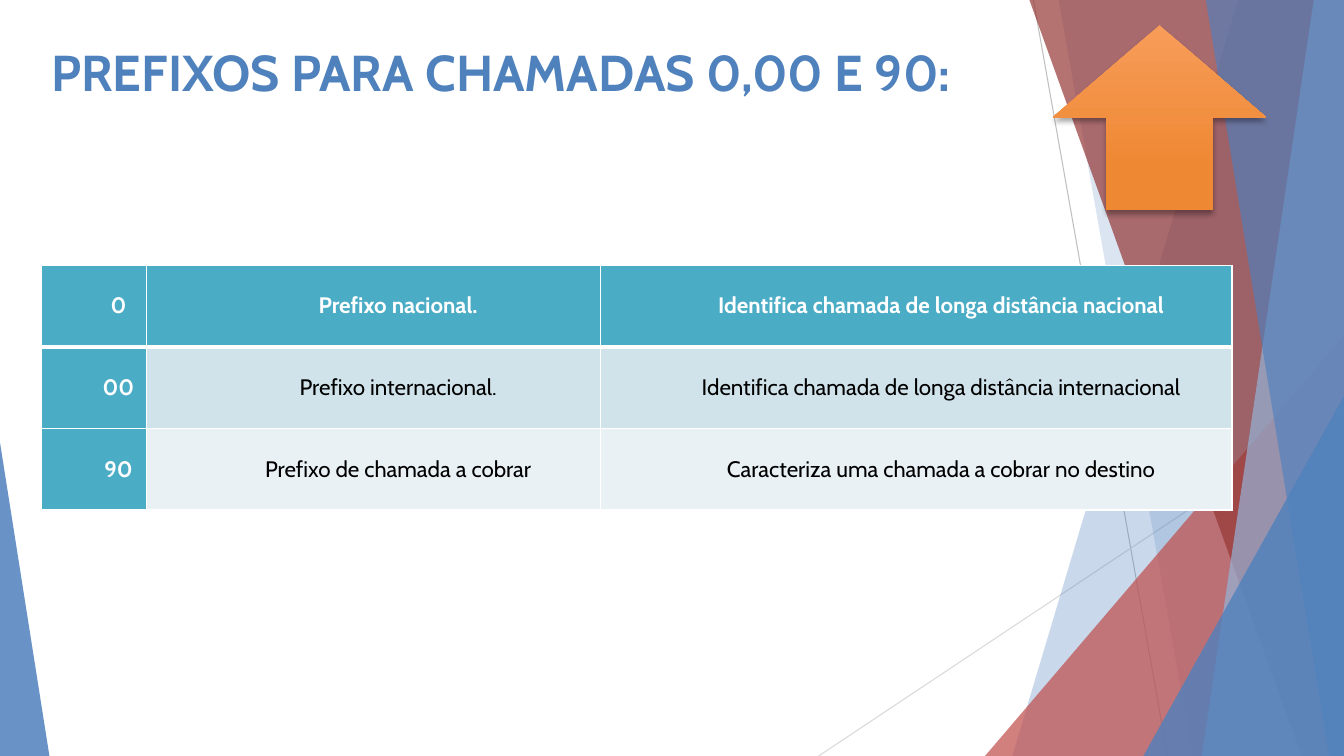
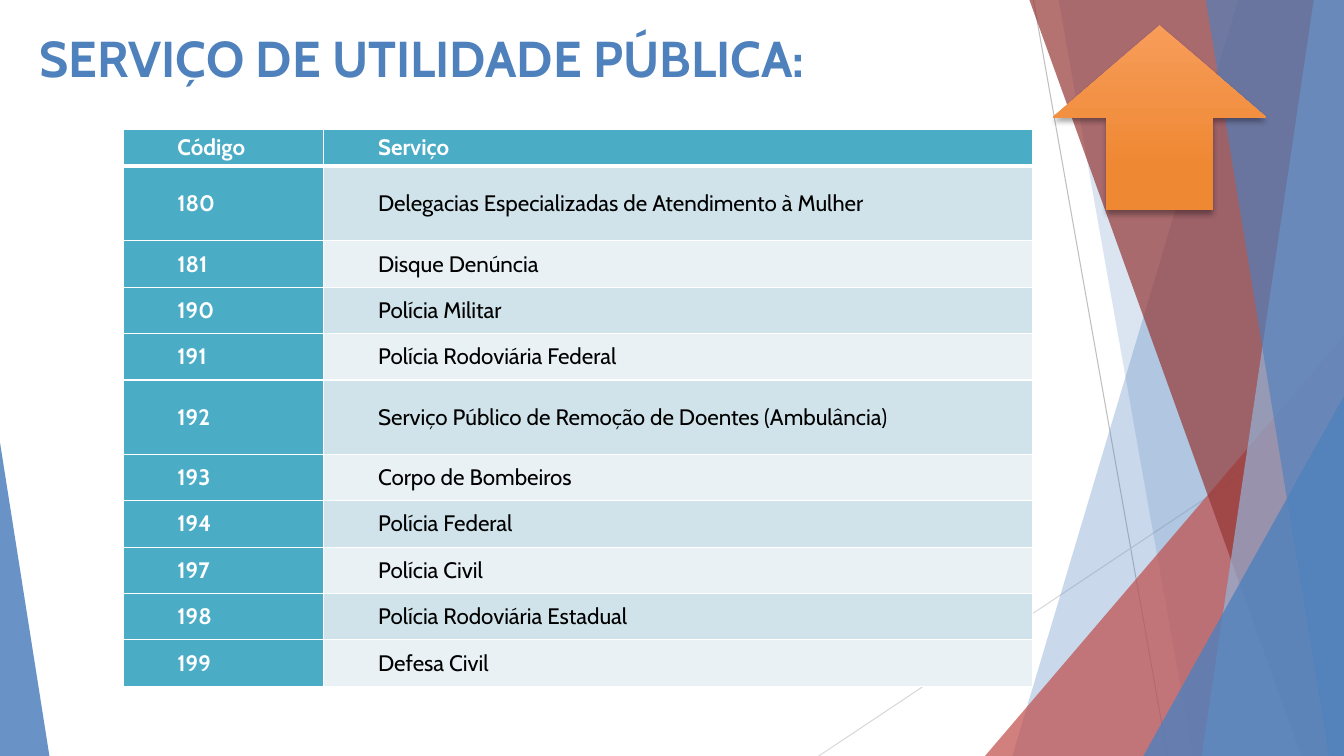
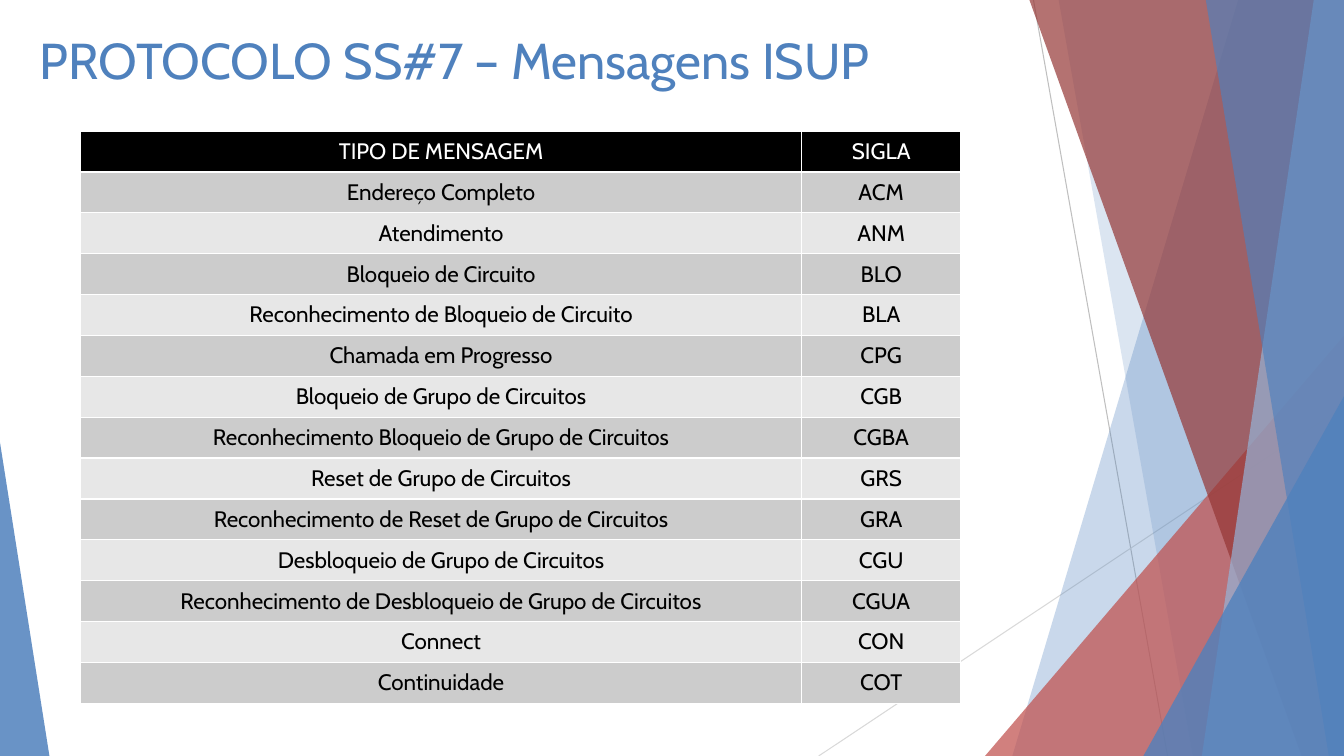
from pptx import Presentation
from pptx.dml.color import RGBColor
from pptx.enum import shapes, text
from pptx.oxml import parse_xml
from pptx.oxml.ns import nsdecls
from pptx.util import Inches, Pt

FONT = "Cabin"
WHITE = RGBColor(0xFF, 0xFF, 0xFF)
BLACK = RGBColor(0x00, 0x00, 0x00)
BLUE = RGBColor(0x4F, 0x81, 0xBD)
LIGHT_BLUE = RGBColor(0x95, 0xB3, 0xD7)
RED = RGBColor(0xC0, 0x50, 0x4D)
DARK_RED = RGBColor(0x95, 0x37, 0x35)
LINE_GRAY = RGBColor(0xBF, 0xBF, 0xBF)
PALE_GRAY = RGBColor(0xD9, 0xD9, 0xD9)
TEAL = RGBColor(0x4B, 0xAC, 0xC6)
TEAL_BANDS = (RGBColor(0xD0, 0xE3, 0xEA), RGBColor(0xE9, 0xF1, 0xF5))
GRAY_BANDS = (RGBColor(0xCC, 0xCC, 0xCC), RGBColor(0xE7, 0xE7, 0xE7))
LIGHT_ORANGE = RGBColor(0xF7, 0x9C, 0x59)
ORANGE = RGBColor(0xEF, 0x88, 0x33)

WIDTH, HEIGHT = 13.33, 7.5

PREFIXES = [
    ("0", "Prefixo nacional.", "Identifica chamada de longa distância nacional"),
    ("00", "Prefixo internacional.", "Identifica chamada de longa distância internacional"),
    ("90", "Prefixo de chamada a cobrar", "Caracteriza uma chamada a cobrar no destino"),
]
SERVICES = [
    ("Código", "Serviço"),
    ("180", "Delegacias Especializadas de Atendimento à Mulher"),
    ("181", "Disque Denúncia"),
    ("190", "Polícia Militar"),
    ("191", "Polícia Rodoviária Federal"),
    ("192", "Serviço Público de Remoção de Doentes (Ambulância)"),
    ("193", "Corpo de Bombeiros"),
    ("194", "Polícia Federal"),
    ("197", "Polícia Civil"),
    ("198", "Polícia Rodoviária Estadual"),
    ("199", "Defesa Civil"),
]
MESSAGES = [
    ("TIPO DE MENSAGEM", "SIGLA"),
    ("Endereço Completo", "ACM"),
    ("Atendimento", "ANM"),
    ("Bloqueio de Circuito", "BLO"),
    ("Reconhecimento de Bloqueio de Circuito", "BLA"),
    ("Chamada em Progresso", "CPG"),
    ("Bloqueio de Grupo de Circuitos", "CGB"),
    ("Reconhecimento Bloqueio de Grupo de Circuitos", "CGBA"),
    ("Reset de Grupo de Circuitos", "GRS"),
    ("Reconhecimento de Reset de Grupo de Circuitos", "GRA"),
    ("Desbloqueio de Grupo de Circuitos", "CGU"),
    ("Reconhecimento de Desbloqueio de Grupo de Circuitos", "CGUA"),
    ("Connect", "CON"),
    ("Continuidade", "COT"),
]


def write_text(frame, content, size=16, color=BLACK, bold=False, align=text.PP_ALIGN.LEFT, indent=0):
    paragraph = frame.paragraphs[0]
    paragraph.alignment = align
    if indent:
        properties = paragraph._p.get_or_add_pPr()
        properties.set("marL", "0")
        properties.set("indent", str(Inches(indent)))
    run = paragraph.add_run()
    run.text = content
    run.font.name = FONT
    run.font.size = Pt(size)
    run.font.bold = bold
    run.font.color.rgb = color


class Deck:
    def __init__(self):
        self.presentation = Presentation()
        self.presentation.slide_width = Inches(WIDTH)
        self.presentation.slide_height = Inches(HEIGHT)
        self.layout = self.presentation.slide_layouts[5]
        self.slide = None

    def add_slide(self, title, left, top, width, bold=True):
        first = self.slide is None
        self.slide = self.presentation.slides.add_slide(self.layout)
        if first:
            self.add_backdrop()
        shape = self.slide.shapes.title
        shape.left, shape.top = Inches(left), Inches(top)
        shape.width, shape.height = Inches(width), Inches(1.65)
        frame = shape.text_frame
        frame.word_wrap = True
        frame.auto_size = text.MSO_AUTO_SIZE.NONE
        frame.vertical_anchor = text.MSO_ANCHOR.TOP
        write_text(frame, title, size=36, color=BLUE, bold=bold)

    def add_backdrop(self):
        group = self.slide.shapes.add_group_shape()
        self.add_line(group, (10.25, 0), (11.58, HEIGHT), LINE_GRAY)
        self.add_line(group, (WIDTH, 4.03), (8.12, HEIGHT), PALE_GRAY)
        self.add_band(group, 12.28, 10.04, BLUE, 30)
        self.add_band(group, 10.5, 11.83, BLUE, 20)
        self.add_triangle(group, 9.77, 3.33, 3.56, 1, RED, 72)
        self.add_band(group, 10.21, 12.91, DARK_RED, 70)
        self.add_band(group, 13.03, 11.92, LIGHT_BLUE, 70)
        self.add_band(group, 11.96, 13.18, BLUE, 65)
        self.add_triangle(group, 11.34, 3.93, 1.99, 1, BLUE, 80)
        self.add_triangle(group, 0, 4.39, 0.49, 0, BLUE, 85)
        for number, properties in enumerate(group.element.xpath(".//p:cNvPr"), 100):
            properties.set("id", str(number))
        self.layout.shapes.element.insert(2, group.element)

    def add_line(self, group, start, end, color):
        points = [Inches(value) for value in (*start, *end)]
        line = group.shapes.add_connector(shapes.MSO_CONNECTOR.STRAIGHT, *points)
        line.line.color.rgb = color
        line.line.width = Pt(0.75)
        line.element.spPr.append(parse_xml(f"<a:effectLst {nsdecls('a')}/>"))

    def add_band(self, group, top_x, bottom_x, color, opacity):
        corners = [(WIDTH, 0), (WIDTH, HEIGHT), (bottom_x, HEIGHT)]
        builder = group.shapes.build_freeform(Inches(top_x), 0)
        builder.add_line_segments([(Inches(x), Inches(y)) for x, y in corners], close=True)
        self.paint(builder.convert_to_shape(), color, opacity)

    def add_triangle(self, group, left, top, width, apex, color, opacity):
        shape = group.shapes.add_shape(
            shapes.MSO_SHAPE.ISOSCELES_TRIANGLE,
            Inches(left), Inches(top), Inches(width), Inches(HEIGHT - top))
        shape.adjustments[0] = apex
        self.paint(shape, color, opacity)

    def paint(self, shape, color, opacity):
        shape.shadow.inherit = False
        shape.line.fill.background()
        shape.fill.solid()
        shape.fill.fore_color.rgb = color
        color_element = shape.element.spPr.xpath("./a:solidFill/a:srgbClr")[0]
        color_element.append(parse_xml(f'<a:alpha {nsdecls("a")} val="{opacity * 1000}"/>'))

    def add_arrow(self):
        arrow = self.slide.shapes.add_shape(
            shapes.MSO_SHAPE.UP_ARROW, Inches(10.44), Inches(0.25), Inches(2.12), Inches(1.83))
        arrow.line.fill.background()
        arrow.fill.gradient()
        arrow.fill.gradient_angle = 270
        for stop, color, position in zip(arrow.fill.gradient_stops, (LIGHT_ORANGE, ORANGE), (0, 0.78)):
            stop.color.rgb = color
            stop.position = position
        arrow.element.spPr.append(parse_xml(
            f'<a:effectLst {nsdecls("a")}><a:outerShdw blurRad="{Pt(4)}" dist="{Pt(3)}" '
            'dir="5400000" rotWithShape="0"><a:srgbClr val="000000"><a:alpha val="35000"/>'
            '</a:srgbClr></a:outerShdw></a:effectLst>'))

    def add_table(self, rows, left, top, widths, heights, head=TEAL, bands=TEAL_BANDS,
                  key_column=True, bold=True, header_rule=3, inset=0.05, **text_format):
        table = self.slide.shapes.add_table(
            len(rows), len(widths), Inches(left), Inches(top),
            Inches(sum(widths)), Inches(sum(heights))).table
        table.horz_banding = False
        for column, width in zip(table.columns, widths):
            column.width = Inches(width)
        for row, height in zip(table.rows, heights):
            row.height = Inches(height)
        for row_index, values in enumerate(rows):
            for column_index, value in enumerate(values):
                cell = table.cell(row_index, column_index)
                is_head = row_index == 0 or (key_column and column_index == 0)
                self.add_borders(cell, header_rule if row_index == 1 else 1,
                                 header_rule if row_index == 0 else 1)
                cell.fill.solid()
                cell.fill.fore_color.rgb = head if is_head else bands[(row_index - 1) % 2]
                cell.vertical_anchor = text.MSO_ANCHOR.MIDDLE
                cell.margin_left = cell.margin_right = Inches(inset)
                cell.margin_top = cell.margin_bottom = Inches(0.05)
                write_text(cell.text_frame, value, color=WHITE if is_head else BLACK,
                           bold=bold and is_head, **text_format)

    def add_borders(self, cell, top, bottom):
        properties = cell._tc.get_or_add_tcPr()
        for side, width in (("L", 1), ("R", 1), ("T", top), ("B", bottom)):
            properties.append(parse_xml(
                f'<a:ln{side} {nsdecls("a")} w="{Pt(width)}"><a:solidFill>'
                f'<a:srgbClr val="{WHITE}"/></a:solidFill></a:ln{side}>'))


def main():
    deck = Deck()
    center = text.PP_ALIGN.CENTER

    deck.add_slide("PREFIXOS PARA CHAMADAS 0,00 E 90:", 0.41, 0.36, 10.66)
    deck.add_table(PREFIXES, 0.41, 2.63, [1.04, 4.51, 6.26], [0.81] * 3, align=center, indent=0.49)
    deck.add_arrow()

    deck.add_slide("SERVIÇO DE UTILIDADE PÚBLICA:", 0.29, 0.22, 11.17)
    heights = [0.37] + [0.74 if code in ("180", "192") else 0.46 for code, _ in SERVICES[1:]]
    deck.add_table(SERVICES, 1.22, 1.28, [1.99, 7.03], heights, indent=0.49)
    deck.add_arrow()

    deck.add_slide("PROTOCOLO SS#7 – Mensagens ISUP", 0.29, 0.24, 11.22, bold=False)
    deck.add_table(MESSAGES, 0.8, 1.3, [7.15, 1.58], [5.68 / len(MESSAGES)] * len(MESSAGES),
                   head=BLACK, bands=GRAY_BANDS, key_column=False, bold=False,
                   header_rule=1, inset=0.1, align=center)

    deck.presentation.save("out.pptx")


if __name__ == "__main__":
    main()
